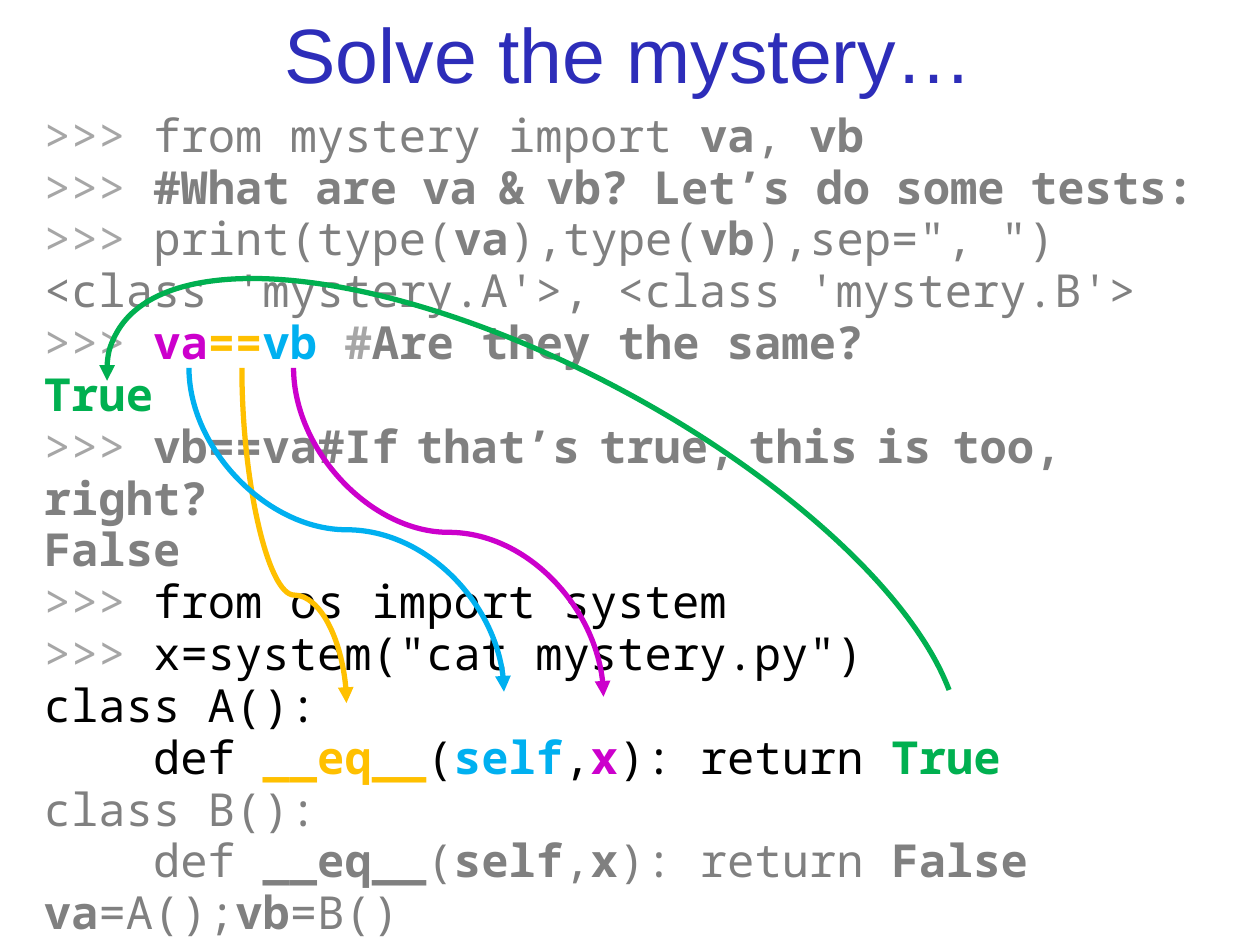
from lxml.etree import SubElement
from pptx import Presentation
from pptx.dml.color import RGBColor
from pptx.enum.shapes import MSO_CONNECTOR, MSO_SHAPE
from pptx.enum.text import MSO_ANCHOR, PP_ALIGN
from pptx.oxml.ns import qn
from pptx.util import Inches, Pt

COLORS = {
    "title": "2D2DB9", "prompt": "A6A6A6", "gray": "808080", "black": "000000",
    "purple": "CC00CC", "yellow": "FFC000", "blue": "00B0F0", "green": "00B050",
}
CODE_SIZE = 26
PROMPT = (">>> ", "prompt", False)


def gray(text):
    return text, "gray", False


def strong(text):
    return text, "gray", True


def black(text):
    return text, "black", False


def comment(text, gap_sizes):
    words = text.split(" ")
    runs = [strong(words[0])]
    for word, size in zip(words[1:], gap_sizes):
        runs += [strong(" ") + (size,), strong(word)]
    return runs


TITLE = "Solve the mystery…"
SESSION = [
    [PROMPT, gray("from mystery import "), strong("va"), gray(", "), strong("vb")],
    [PROMPT] + comment("#What are va & vb? Let’s do some tests:",
                       [24, 24, 20, 20, 24, 24, 24, 24]),
    [PROMPT, gray("print(type("), strong("va"), gray("),type("), strong("vb"),
     gray('),sep=", ")')],
    [gray("<class 'mystery.A'>, <class 'mystery.B'>")],
    [PROMPT, ("va", "purple", True), ("==", "yellow", True), ("vb ", "blue", True),
     ("#", "prompt", True), strong("Are they the same?")],
    [("True", "green", True)],
    [PROMPT] + comment("vb==va#If that’s true, this is too, right?",
                       [16, 18, 12, 18, 20, 12]),
    [strong("False")],
    [PROMPT, black("from os import system")],
    [PROMPT, black('x=system("cat mystery.py")')],
    [black("class A():")],
    [black("    def "), ("__eq__", "yellow", True), black("("), ("self", "blue", True),
     black(","), ("x", "purple", True), black("): return "), ("True", "green", True)],
    [gray("class B():")],
    [gray("    def "), strong("__eq__"), gray("("), strong("self"), gray(","),
     strong("x"), gray("): return "), strong("False")],
    [strong("va"), gray("=A();"), strong("vb"), gray("=B()")],
]
ARGUMENT_ARROWS = [
    ("purple", (2.33, 2.92), (4.79, 5.53), 50000),
    ("yellow", (1.92, 2.92), (2.75, 5.58), 67800),
    ("blue", (1.5, 2.92), (4, 5.49), 50000),
]


def rgb(name):
    return RGBColor.from_string(COLORS[name])


def add_text_frame(left, top, width, height):
    frame = slide.shapes.add_textbox(*map(Inches, (left, top, width, height))).text_frame
    frame.word_wrap = True
    return frame


def style_arrow(arrow, color, end):
    arrow.line.color.rgb = rgb(color)
    arrow.line.width = Pt(3)
    SubElement(arrow.line._get_or_add_ln(), qn(end), type="triangle")


def add_argument_arrow(color, start, finish, bend):
    (x1, y1), (x2, y2) = start, finish
    center_x, center_y = (x1 + x2) / 2, (y1 + y2) / 2
    half_w, half_h = (y2 - y1) / 2, (x2 - x1) / 2
    arrow = slide.shapes.add_connector(
        MSO_CONNECTOR.CURVE,
        Inches(center_x + half_w), Inches(center_y - half_h),
        Inches(center_x - half_w), Inches(center_y + half_h))
    properties = arrow._element.spPr
    properties.find(qn("a:xfrm")).set("rot", str(270 * 60000))
    guides = properties.find(qn("a:prstGeom")).find(qn("a:avLst"))
    SubElement(guides, qn("a:gd"), name="adj1", fmla=f"val {bend}")
    style_arrow(arrow, color, "a:tailEnd")
    SubElement(properties, qn("a:effectLst"))


presentation = Presentation()
presentation.slide_width, presentation.slide_height = Inches(10), Inches(7.5)
slide = presentation.slides.add_slide(presentation.slide_layouts[6])

title = add_text_frame(0.58, 0, 8.83, 0.83)
title.vertical_anchor = MSO_ANCHOR.MIDDLE
heading = title.paragraphs[0]
heading.text = TITLE
heading.alignment = PP_ALIGN.CENTER
heading.font.name, heading.font.size = "Arial", Pt(44)
heading.font.color.rgb = rgb("title")

session = add_text_frame(0.25, 0.83, 9.58, 6.67)
for index, pieces in enumerate(SESSION):
    line = session.add_paragraph() if index else session.paragraphs[0]
    line.line_spacing = 0.95
    line.font.name, line.font.size = "Noto Sans Mono", Pt(CODE_SIZE)
    for text, color, bold, *size in pieces:
        run = line.add_run()
        run.text = text
        run.font.name = "Noto Sans Mono"
        run.font.size = Pt(size[0] if size else CODE_SIZE)
        run.font.bold = bold
        run.font.color.rgb = rgb(color)

result_arc = slide.shapes.add_shape(
    MSO_SHAPE.ARC, Inches(0.48), Inches(2.92), Inches(7.5), Inches(2.99))
result_arc.rotation = 28.1
result_arc.adjustments[0] = 104.57
result_arc.adjustments[1] = 209.83
result_arc.fill.background()
result_arc.shadow.inherit = False
style_arrow(result_arc, "green", "a:headEnd")

for argument_arrow in ARGUMENT_ARROWS:
    add_argument_arrow(*argument_arrow)

presentation.save("out.pptx")
